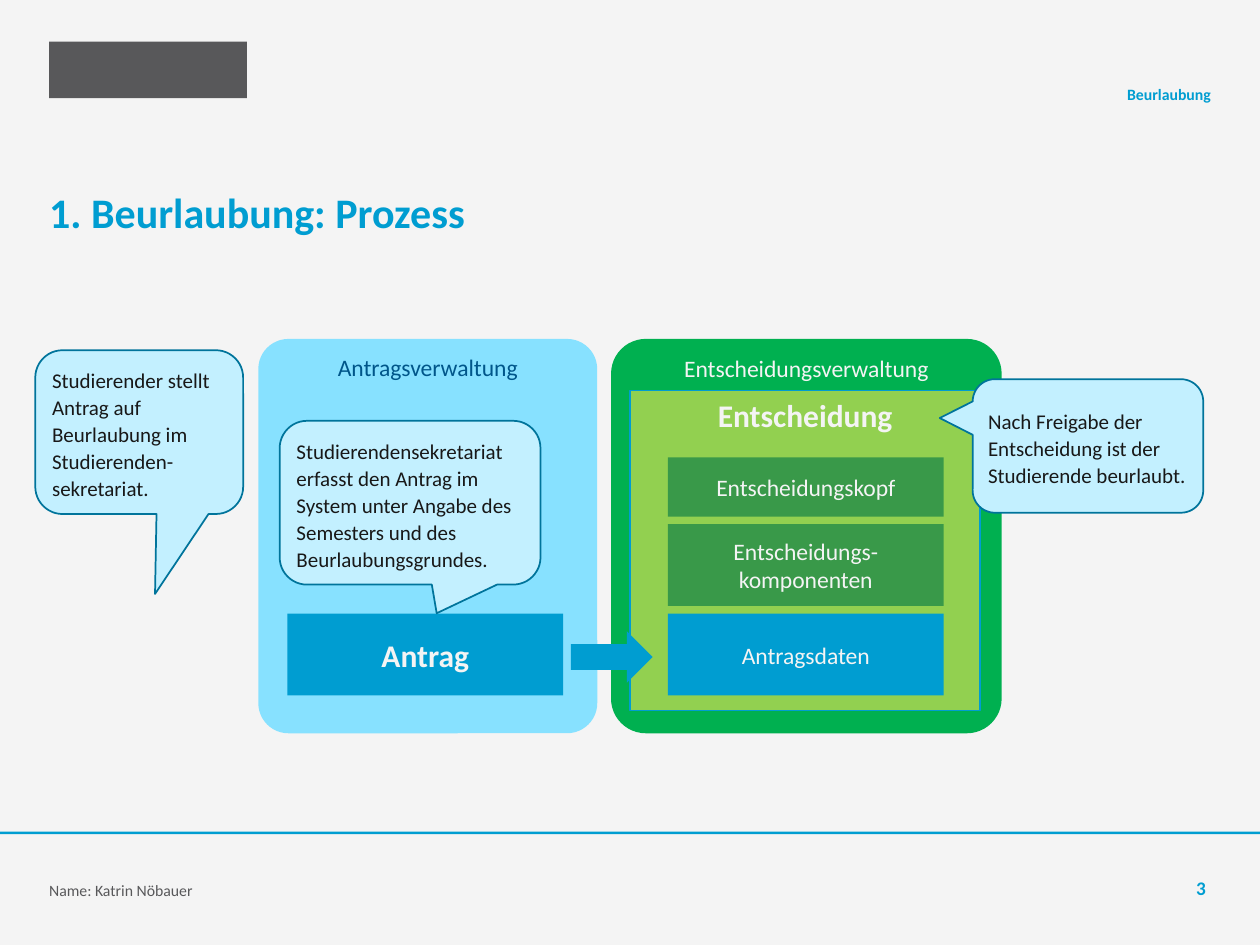
from pptx import Presentation
from pptx.dml.color import RGBColor
from pptx.enum.shapes import MSO_SHAPE as S
from pptx.enum.text import MSO_ANCHOR as V, PP_ALIGN as A
from pptx.util import Inches, Pt

BLUE, PALE, GREY, NAVY = "009DD1", "F4F4F4", "58585A", "00749B"
GREEN, INK, SKY = "399949", "181818", "C3F0FF"

# text, left, top, width, height, size, colour, bold, align, anchor
LABELS = [
    ("1. Beurlaubung: Prozess", 0.39, 1.48, 9.21, 0.63, 24, BLUE, True, A.LEFT, V.TOP),
    ("Beurlaubung", 3.94, 0.43, 5.67, 0.39, 9, BLUE, True, A.RIGHT, V.BOTTOM),
    ("Name: Katrin Nöbauer", 0.39, 6.75, 5.67, 0.39, 9, GREY, False, A.LEFT, V.BOTTOM),
    ("3", 8.82, 6.75, 0.75, 0.39, 11, BLUE, True, A.RIGHT, V.BOTTOM),
]

# text, left, width, fill, text colour
PANELS = [
    ("Antragsverwaltung", 2.05, 2.69, "87E1FF", "00568A"),
    ("Entscheidungsverwaltung", 4.85, 3.1, "00B050", PALE),
]

# text, left, top, height, fill, size, bold
STEPS = [
    ("Antrag", 2.28, 4.87, 0.65, BLUE, 18, True),
    ("Antragsdaten", 5.3, 4.87, 0.65, BLUE, 13.5, False),
    ("Entscheidungskopf", 5.3, 3.63, 0.47, GREEN, 13.5, False),
    ("Entscheidungs-komponenten", 5.3, 4.16, 0.65, GREEN, 13.5, False),
]

# text, box, pointer tip as a share of the box
NOTES = [
    ("Studierender stellt Antrag auf Beurlaubung im Studierenden-sekretariat.",
     (0.28, 2.78, 1.65, 1.3), (0.076, 0.988)),
    ("Studierendensekretariat erfasst den Antrag im System unter Angabe des "
     "Semesters und des Beurlaubungsgrundes.",
     (2.22, 3.34, 2.07, 1.3), (0.102, 0.675)),
    ("Nach Freigabe der Entscheidung ist der Studierende beurlaubt.",
     (7.72, 3.01, 1.83, 1.06), (-0.643, -0.209)),
]

deck = Presentation()
deck.slide_width, deck.slide_height = Inches(10), Inches(7.5)
slide = deck.slides.add_slide(deck.slide_layouts[6])


def rgb(code):
    return RGBColor.from_string(code)


def write(shape, text, size, color, bold=False, align=A.CENTER, anchor=V.TOP,
          pads=(0.07, 0.04, 0.07, 0.04)):
    frame = shape.text_frame
    frame.word_wrap = True
    frame.vertical_anchor = anchor
    (frame.margin_left, frame.margin_top,
     frame.margin_right, frame.margin_bottom) = map(Inches, pads)
    para = frame.paragraphs[0]
    para.text, para.alignment = text, align
    font = para.font
    font.name, font.size, font.bold = "Calibri", Pt(size), bold
    font.color.rgb = rgb(color)
    return para


def draw(kind, box, fill, line=None):
    shape = slide.shapes.add_shape(kind, *map(Inches, box))
    shape.shadow.inherit = False
    shape.fill.solid()
    shape.fill.fore_color.rgb = rgb(fill)
    if line:
        shape.line.color.rgb = rgb(line)
        shape.line.width = Pt(1)
    else:
        shape.line.fill.background()
    return shape


back = slide.background.fill
back.solid()
back.fore_color.rgb = rgb(PALE)

draw(S.RECTANGLE, (0.39, 0.33, 1.57, 0.45), GREY)  # logo space
draw(S.RECTANGLE, (0, 6.6, 10, 0.02), BLUE)  # footer rule

for text, left, width, fill, color in PANELS:
    panel = draw(S.ROUNDED_RECTANGLE, (left, 2.69, width, 3.13), fill)
    panel.adjustments[0] = 0.089
    write(panel, text, 13.5, color)

write(draw(S.RECTANGLE, (5, 3.1, 2.78, 2.54), "92D050", BLUE),
      "Entscheidung", 18, PALE, True)

for text, left, top, width, height, *style in LABELS:
    label = slide.shapes.add_textbox(*map(Inches, (left, top, width, height)))
    write(label, text, *style, pads=(0, 0, 0, 0))

for text, left, top, height, fill, size, bold in STEPS:
    step = draw(S.RECTANGLE, (left, top, 2.19, height), fill)
    write(step, text, size, PALE, bold, anchor=V.MIDDLE)

draw(S.RIGHT_ARROW, (4.53, 5.01, 0.65, 0.41), BLUE)

for text, box, tip in NOTES:
    note = draw(S.ROUNDED_RECTANGULAR_CALLOUT, box, SKY, NAVY)
    note.adjustments[0], note.adjustments[1] = tip
    para = write(note, text, 12, INK, align=A.LEFT, anchor=V.MIDDLE,
                 pads=(0.07, 0.06, 0.07, 0.04))
    para.line_spacing, para.space_after = 1.07, Pt(6)

deck.save("out.pptx")
